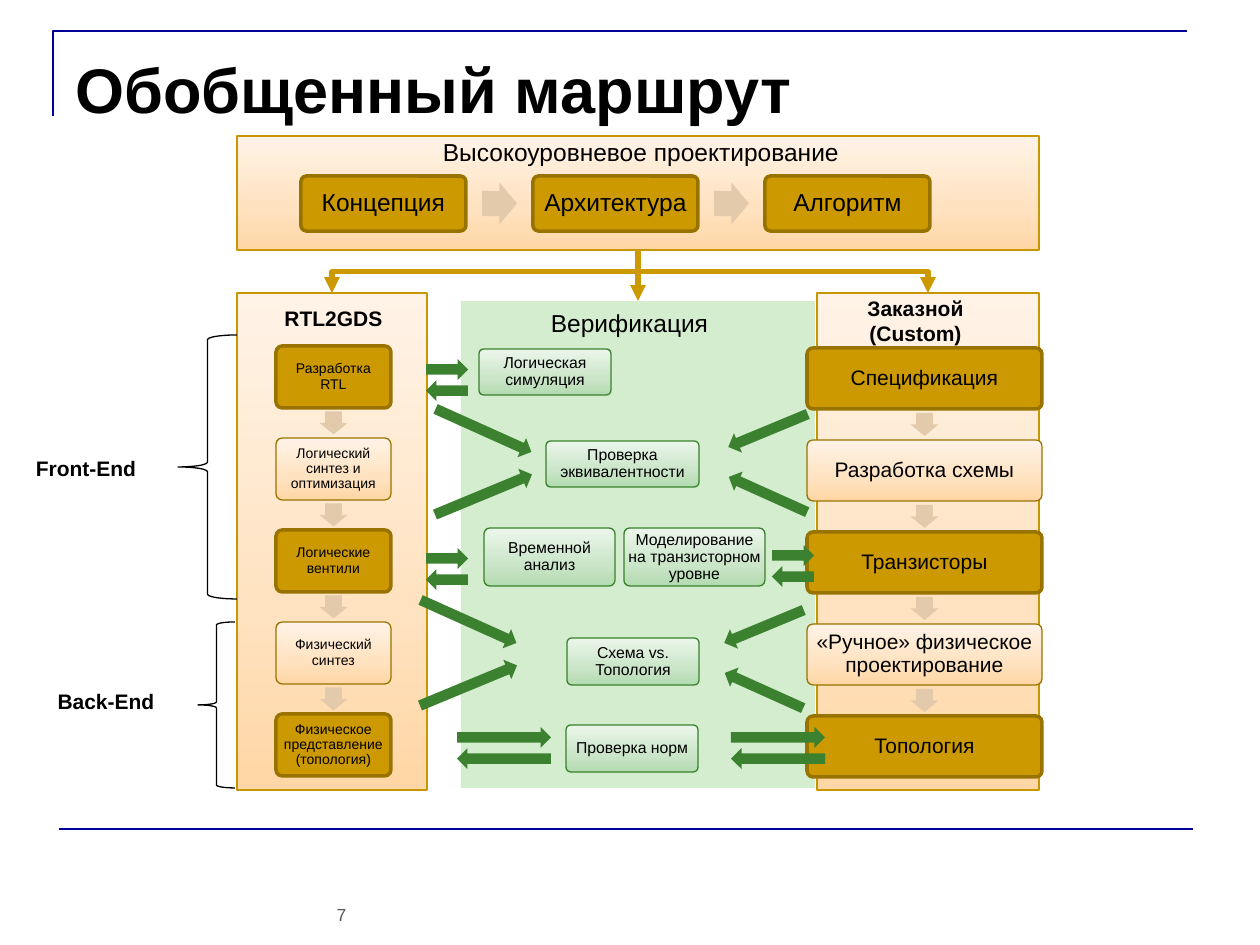
from copy import deepcopy

from lxml import etree
from pptx import Presentation
from pptx.dml.color import RGBColor
from pptx.enum.shapes import MSO_CONNECTOR, MSO_SHAPE
from pptx.enum.text import MSO_ANCHOR, PP_ALIGN
from pptx.oxml.ns import qn
from pptx.util import Emu, Pt

EMU_PER_PX = 914400 / 126
RECT, ROUNDED = MSO_SHAPE.RECTANGLE, MSO_SHAPE.ROUNDED_RECTANGLE
ARROW, BRACE = MSO_SHAPE.RIGHT_ARROW, MSO_SHAPE.LEFT_BRACE
STRAIGHT, ELBOW = MSO_CONNECTOR.STRAIGHT, MSO_CONNECTOR.ELBOW
TOP, MIDDLE = MSO_ANCHOR.TOP, MSO_ANCHOR.MIDDLE
LEFT, CENTER = PP_ALIGN.LEFT, PP_ALIGN.CENTER
BOTTOM_SITE, TOP_SITE = 2, 0

FONT = "Arial"
BLACK, NAVY, GREY = "000000", "000099", "595959"
GOLD, DARK_GOLD, PANEL_EDGE, SAND = "CC9900", "997300", "C89600", "E2CAAB"
PALE_GREEN, LEAF, CHECK_EDGE = "D3EDCE", "3B812F", "38802C"
PEACH = ("FFD6A5", "FFE2BF", "FFF3E7")
MINT = ("B3DBB0", "CAE5C8", "EBF6EA")


def px(length):
    return Emu(round(length * EMU_PER_PX))


def rgb(colour):
    return RGBColor.from_string(colour)


def paint(shape, fill, edge, weight):
    """Fill with one colour, a bottom-to-top gradient, or nothing."""
    shape.shadow.inherit = False
    if fill is None:
        shape.fill.background()
    elif isinstance(fill, str):
        shape.fill.solid()
        shape.fill.fore_color.rgb = rgb(fill)
    else:
        shape.fill.gradient()
        shape.fill.gradient_angle = 90
        stops = shape._element.spPr.find(qn("a:gradFill")).find(qn("a:gsLst"))
        stops.insert(1, deepcopy(stops[0]))
        for stop, colour, position in zip(shape.fill.gradient_stops, fill, (0, 0.35, 1)):
            stop.color.rgb = rgb(colour)
            stop.position = position
    if edge:
        shape.line.color.rgb = rgb(edge)
        shape.line.width = Pt(weight)
    else:
        shape.line.fill.background()


def add_block(slide, kind, box, fill=None, edge=None, weight=0.75, adjustments=()):
    shape = slide.shapes.add_shape(kind, *map(px, box))
    for index, value in enumerate(adjustments):
        shape.adjustments[index] = value
    paint(shape, fill, edge, weight)
    return shape


def write(shape, text, size, bold=False, colour=BLACK, align=CENTER, anchor=TOP):
    frame = shape.text_frame
    frame.word_wrap = True
    frame.vertical_anchor = anchor
    frame.text = text
    paragraph = frame.paragraphs[0]
    paragraph.alignment = align
    font = paragraph.runs[0].font
    font.name, font.size, font.bold = FONT, Pt(size), bold
    font.color.rgb = rgb(colour)


def add_label(slide, text, box, size, bold=False, colour=BLACK):
    write(slide.shapes.add_textbox(*map(px, box)), text, size, bold, colour)


def add_card(slide, text, box, fill, edge, weight, size, inset):
    card = add_block(slide, ROUNDED, box, fill, edge, weight, (0.1,))
    write(card, text, size, anchor=MIDDLE)
    frame = card.text_frame
    frame.margin_left = frame.margin_right = px(inset)
    frame.margin_top = frame.margin_bottom = px(inset)
    frame.paragraphs[0].line_spacing = 0.9


def add_arrow(slide, box, fill, rotation=0, adjustments=()):
    add_block(slide, ARROW, box, fill, adjustments=adjustments).rotation = rotation


def add_chain(slide, stages, box, step, size, inset, arrow, vertical=True):
    """Stages at equal steps, with an arrow in the middle of each gap."""
    left, top, width, height = box
    arrow_width, arrow_height = arrow
    for index, stage in enumerate(stages):
        x = left + (0 if vertical else index * step)
        y = top + (index * step if vertical else 0)
        fill, weight = (PEACH, 0.75) if vertical and index % 2 else (GOLD, 2)
        add_card(slide, stage, (x, y, width, height), fill, DARK_GOLD, weight, size, inset)
        if index < len(stages) - 1:
            middle_x = x + width / 2 if vertical else x + (step + width) / 2
            middle_y = y + (step + height) / 2 if vertical else y + height / 2
            add_arrow(slide, (middle_x - arrow_width / 2, middle_y - arrow_height / 2, *arrow),
                      SAND, 90 if vertical else 0, (0.6, 0.5))


def add_exchange(slide, left, top, width):
    add_arrow(slide, (left, top, width, 21), LEAF)
    add_arrow(slide, (left, top + 21, width, 21), LEAF, 180)


def add_convergence(slide, left, top, width, upper_angle, lower_angle):
    add_arrow(slide, (left, top, width, 21), LEAF, upper_angle)
    add_arrow(slide, (left, top + 64, width, 21), LEAF, lower_angle)


def add_branch(slide, source, target, kind):
    """Arrow from the bottom of one panel to the top of another."""
    x1, y1 = source.left + source.width // 2, source.top + source.height
    x2, y2 = target.left + target.width // 2, target.top
    branch = slide.shapes.add_connector(kind, x1, y1, x2, y2)
    branch.begin_connect(source, BOTTOM_SITE)
    branch.end_connect(target, TOP_SITE)
    if kind == ELBOW:
        # Turned a quarter, so that it leaves and arrives vertically
        drop, span = y2 - y1, abs(x2 - x1)
        branch.left, branch.top = (x1 + x2 - drop) // 2, (y1 + y2 - span) // 2
        branch.width, branch.height = drop, span
        xfrm = branch._element.spPr.find(qn("a:xfrm"))
        xfrm.attrib.pop("flipH", None)
        xfrm.set("rot", "5400000" if x2 < x1 else "16200000")
        if x2 > x1:
            xfrm.set("flipH", "1")
    finish_line(branch, GOLD, 3)
    etree.SubElement(branch.line._get_or_add_ln(), qn("a:tailEnd"), type="triangle")


def finish_line(line, colour, weight):
    line.line.color.rgb = rgb(colour)
    line.line.width = Pt(weight)
    etree.SubElement(line._element.spPr, qn("a:effectLst"))


def add_frame(slide):
    corner = slide.shapes.build_freeform(53, 116, scale=EMU_PER_PX)
    corner.add_line_segments([(53, 31), (1187, 31)], close=False)
    paint(corner.convert_to_shape(), None, NAVY, 1.5)
    rule = slide.shapes.add_connector(STRAIGHT, px(59), px(829), px(1193), px(829))
    finish_line(rule, NAVY, 1.5)
    add_label(slide, "7", (315, 898, 53, 34), 10, colour=GREY)


def add_title(slide, text):
    title = slide.shapes.title
    title.left, title.top, title.width, title.height = map(px, (63, 38, 1134, 157))
    write(title, text, 36, bold=True, align=LEFT)
    title.text_frame.margin_top = px(13)


def main():
    prs = Presentation()
    prs.slide_width, prs.slide_height = px(1260), px(945)
    slide = prs.slides.add_slide(prs.slide_layouts[5])
    add_frame(slide)
    add_title(slide, "Обобщенный маршрут")

    # Panels and their headings
    rtl = add_block(slide, RECT, (237, 293, 190, 497), PEACH, PANEL_EDGE)
    custom = add_block(slide, RECT, (817, 293, 222, 497), PEACH, PANEL_EDGE)
    high_level = add_block(slide, RECT, (237, 136, 802, 114), PEACH, PANEL_EDGE)
    verification = add_block(slide, RECT, (461, 301, 354, 487), PALE_GREEN)
    add_label(slide, "Высокоуровневое проектирование", (242, 131, 798, 43), 14)
    add_label(slide, "Верификация", (451, 302, 357, 43), 14)
    add_label(slide, "Заказной (Custom)", (825, 289, 181, 63), 12, bold=True)
    add_label(slide, "RTL2GDS", (227, 299, 213, 38), 12, bold=True)

    # Design stages
    add_chain(slide, ["Концепция", "Архитектура", "Алгоритм"],
              (301, 176, 165, 55), 232, 14, 8, (35, 42), vertical=False)
    add_chain(slide, ["Разработка RTL", "Логический синтез и оптимизация", "Логические вентили",
                      "Физический синтез", "Физическое представление (топология)"],
              (276, 346, 115, 62), 92, 8, 4, (23, 28))
    add_chain(slide, ["Спецификация", "Разработка схемы", "Транзисторы",
                      "«Ручное» физическое проектирование", "Топология"],
              (807, 348, 235, 61), 92, 12, 6, (23, 28))
    for panel, kind in ((rtl, ELBOW), (custom, ELBOW), (verification, STRAIGHT)):
        add_branch(slide, high_level, panel, kind)

    # Checks
    for check, box in (("Логическая симуляция", (479, 349, 132, 46)),
                       ("Проверка эквивалентности", (546, 441, 153, 46)),
                       ("Временной анализ", (484, 528, 131, 58)),
                       ("Моделирование на транзисторном уровне", (624, 528, 141, 58)),
                       ("Схема vs. Топология", (567, 638, 132, 47)),
                       ("Проверка норм", (566, 725, 132, 47))):
        add_card(slide, check, box, MINT, CHECK_EDGE, 0.75, 9, 2)

    # Arrows between the stages and the checks
    for exchange in ((426, 359, 42), (426, 548, 42), (772, 545, 42),
                     (457, 727, 94), (731, 727, 94)):
        add_exchange(slide, *exchange)
    for left, top in ((431, 420), (416, 611)):
        add_convergence(slide, left, top, 105, 24.2, 337.5)
    for left, top in ((725, 420), (721, 616)):
        add_convergence(slide, left, top, 86, 157.5, 204.2)

    # Phases
    for phase, label_box, brace_box in (
            ("Front-End", (0, 449, 172, 38), (178, 335, 59, 264)),
            ("Back-End", (0, 682, 212, 38), (198, 622, 37, 166))):
        add_label(slide, phase, label_box, 12, bold=True)
        add_block(slide, BRACE, brace_box, edge=BLACK, adjustments=(0.08, 0.5))

    prs.save("out.pptx")


if __name__ == "__main__":
    main()
